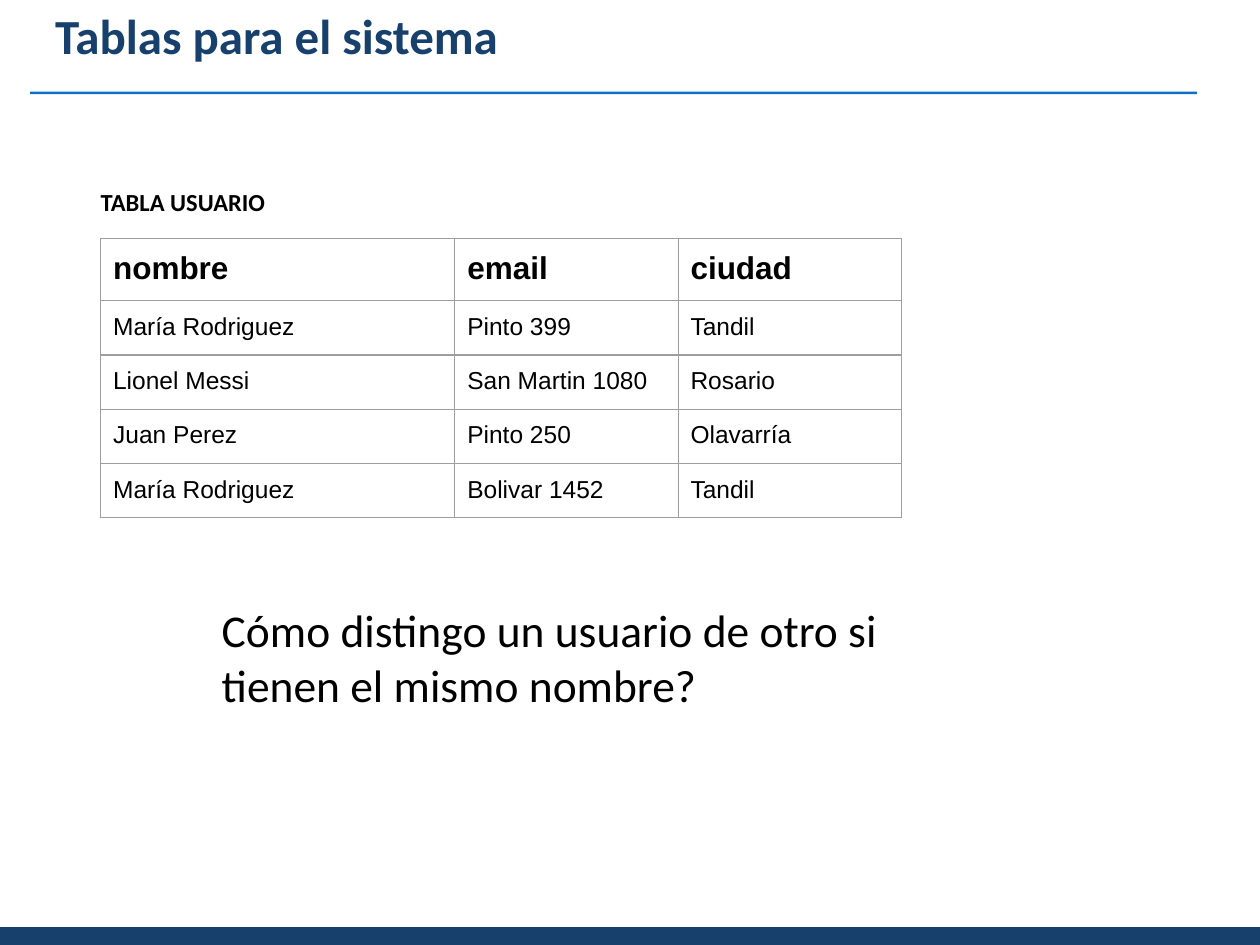
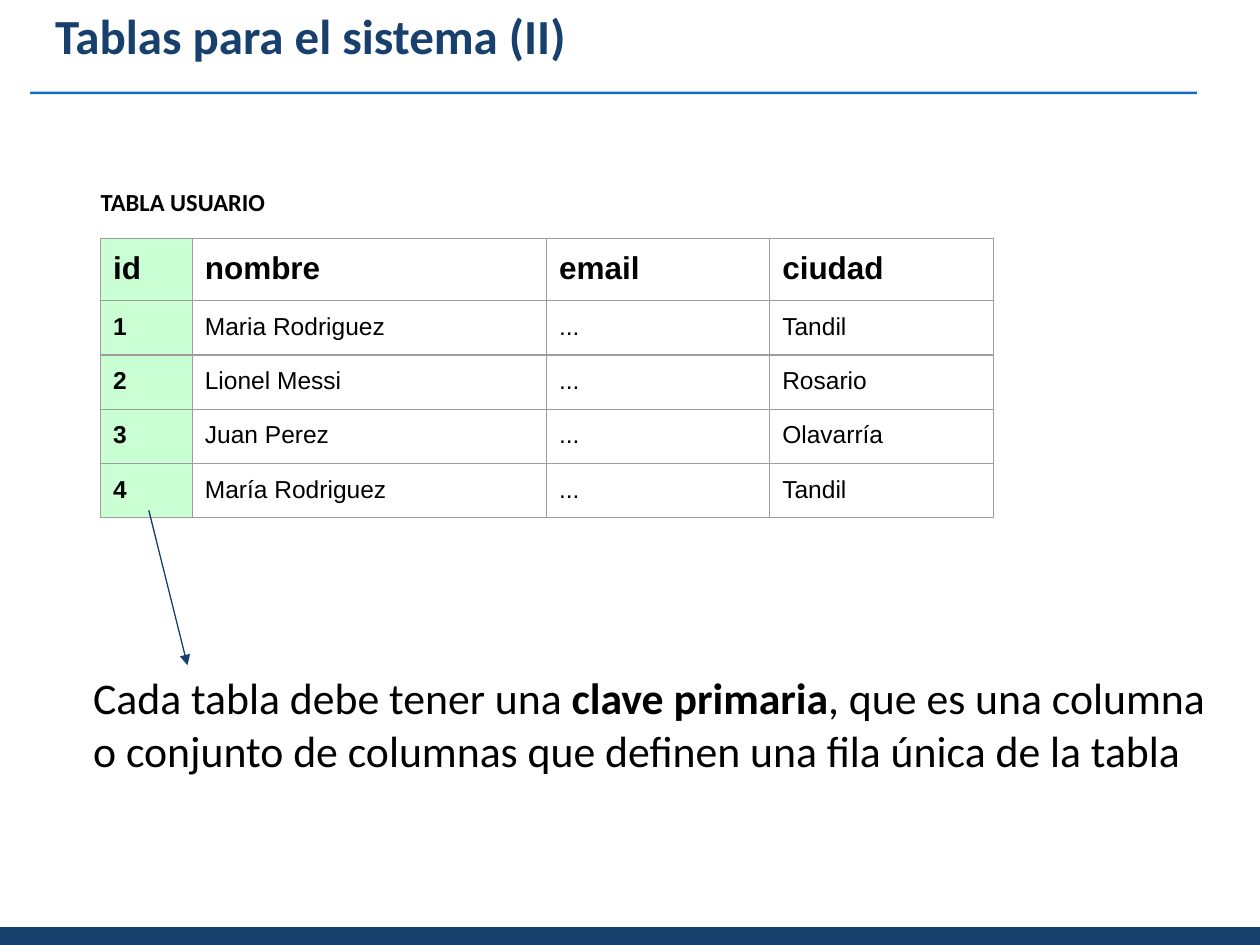
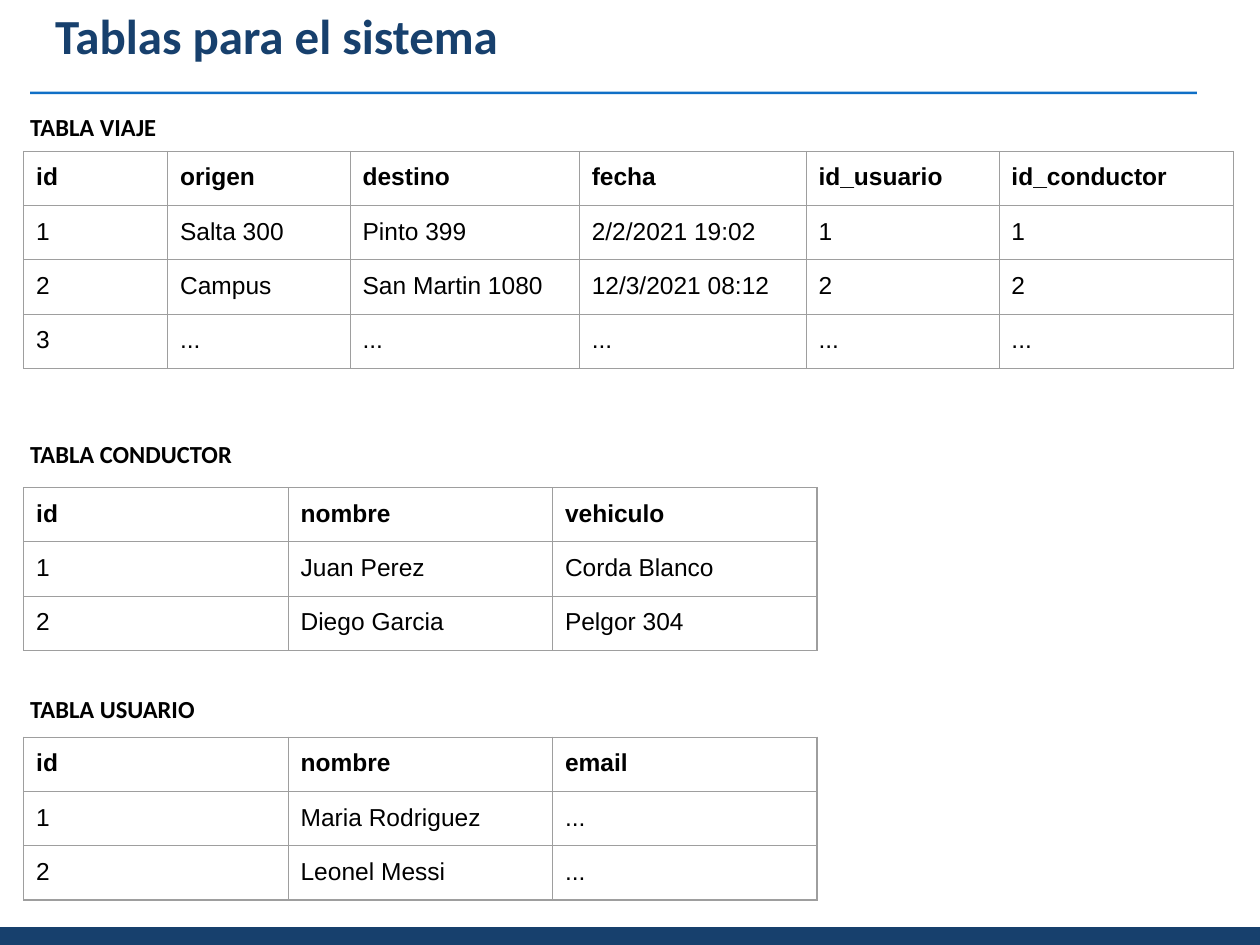
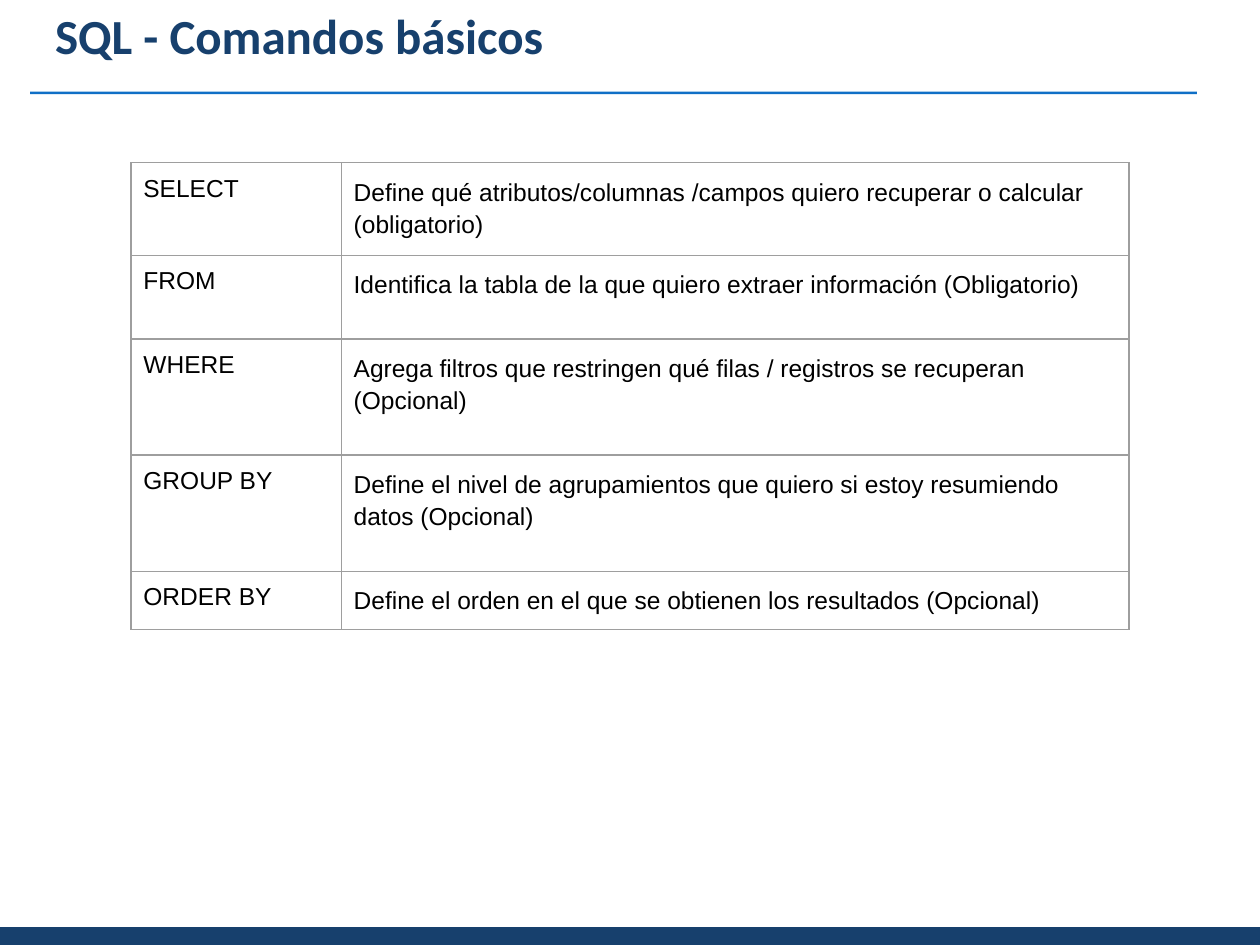
from pptx import Presentation
from pptx.dml.color import RGBColor
from pptx.enum.shapes import MSO_CONNECTOR, MSO_SHAPE
from pptx.enum.text import MSO_ANCHOR
from pptx.oxml.ns import qn
from pptx.util import Cm, Pt
from lxml.etree import SubElement

NAVY = RGBColor(0x17, 0x40, 0x6D)
BLUE = RGBColor(0x0F, 0x6F, 0xC6)
GREEN = RGBColor(0x67, 0xFF, 0x80)
GRAY = RGBColor(0x9E, 0x9E, 0x9E)
BLACK = RGBColor(0, 0, 0)
INSET = Cm(0.25)
USERS = (7.14, 4.5, 4.5)
THIRDS = (5.33,) * 3


def put_text(frame, text, size=14, font="Calibri", color=BLACK, bold=False, space=None):
    para = frame.paragraphs[0]
    para.line_spacing = space
    for i, part in enumerate(text.split("**")):
        run = para.add_run()
        run.text = part
        run.font.size = Pt(size)
        run.font.name = font
        run.font.color.rgb = color
        run.font.bold = bold or i % 2 == 1


def add_text(slide, text, left, top, width, height, **style):
    frame = slide.shapes.add_textbox(Cm(left), Cm(top), Cm(width), Cm(height)).text_frame
    frame.word_wrap = True
    frame.vertical_anchor = MSO_ANCHOR.TOP
    frame.margin_left = frame.margin_right = INSET
    frame.margin_top = frame.margin_bottom = INSET
    put_text(frame, text, **style)


def add_label(slide, text, left, top):
    add_text(slide, text, left, top, 15.52, 1.12, bold=True)


def add_bar(slide, color, left, top, width, height):
    bar = slide.shapes.add_shape(MSO_SHAPE.RECTANGLE, Cm(left), Cm(top), Cm(width), Cm(height))
    bar.shadow.inherit = False
    bar.fill.solid()
    bar.fill.fore_color.rgb = color
    bar.line.fill.background()


def add_slide(deck, title):
    slide = deck.slides.add_slide(deck.slide_layouts[6])
    add_bar(slide, NAVY, 0, 18.69, 25.4, 0.36)
    add_bar(slide, BLUE, 0.61, 1.85, 23.52, 0.05)
    add_text(slide, title, 0.86, -0.13, 23.67, 2.11, size=28, color=NAVY, bold=True)
    return slide


def add_edges(cell):
    props = cell._tc.get_or_add_tcPr()
    for side in ("a:lnL", "a:lnR", "a:lnT", "a:lnB"):
        line = SubElement(props, qn(side), w=str(Pt(0.75)))
        fill = SubElement(line, qn("a:solidFill"))
        SubElement(fill, qn("a:srgbClr"), val=str(GRAY))


def tint(cell):
    cell.fill.solid()
    cell.fill.fore_color.rgb = GREEN
    color = cell._tc.tcPr.find(qn("a:solidFill")).find(qn("a:srgbClr"))
    SubElement(color, qn("a:alpha"), val="35000")


def add_grid(slide, data, left, top, widths, heights, head=14, header=True, key=False, space=None):
    table = slide.shapes.add_table(len(data), len(widths), Cm(left), Cm(top),
                                   Cm(sum(widths)), Cm(sum(heights))).table
    table.first_row = table.horz_banding = False
    for col, width in zip(table.columns, widths):
        col.width = Cm(width)
    for r, (row, height) in enumerate(zip(data, heights)):
        table.rows[r].height = Cm(height)
        for c, text in enumerate(row):
            cell = table.cell(r, c)
            is_head = header and r == 0
            is_key = key and c == 0
            cell.margin_left = cell.margin_right = INSET
            cell.margin_top = cell.margin_bottom = INSET
            add_edges(cell)
            if is_key:
                tint(cell)
            else:
                cell.fill.background()
            put_text(cell.text_frame, text, size=head if is_head else 14, font="Arial",
                     bold=is_head or is_key, space=space if c else None)


def add_arrow(slide, x1, y1, x2, y2):
    arrow = slide.shapes.add_connector(MSO_CONNECTOR.STRAIGHT, Cm(x1), Cm(y1), Cm(x2), Cm(y2))
    arrow.line.color.rgb = NAVY
    arrow.line.width = Pt(0.75)
    SubElement(arrow.line._get_or_add_ln(), qn("a:tailEnd"), type="triangle")
    SubElement(arrow._element.spPr, qn("a:effectLst"))


def add_users(slide, data, widths, key=False):
    add_grid(slide, data, 2.03, 4.8, widths, [1.23] + [1.06] * 4, head=18, key=key)


def show_users(deck):
    slide = add_slide(deck, "Tablas para el sistema")
    add_users(slide, [
        ("nombre", "email", "ciudad"),
        ("María Rodriguez", "Pinto 399", "Tandil"),
        ("Lionel Messi", "San Martin 1080", "Rosario"),
        ("Juan Perez", "Pinto 250", "Olavarría"),
        ("María Rodriguez", "Bolivar 1452", "Tandil"),
    ], USERS)
    add_text(slide, "Cómo distingo un usuario de otro si tienen el mismo nombre?",
             4.22, 11.89, 16.1, 2.74, size=26)
    add_label(slide, "TABLA USUARIO", 1.78, 3.53)


def show_key(deck):
    slide = add_slide(deck, "Tablas para el sistema (II)")
    add_users(slide, [
        ("id", "nombre", "email", "ciudad"),
        ("1", "Maria Rodriguez", "...", "Tandil"),
        ("2", "Lionel Messi", "...", "Rosario"),
        ("3", "Juan Perez", "...", "Olavarría"),
        ("4", "María Rodriguez", "...", "Tandil"),
    ], (1.85,) + USERS, key=True)
    add_text(slide, "Cada tabla debe tener una **clave primaria**, que es una columna "
             "o conjunto de columnas que definen una fila única de la tabla",
             1.63, 13.28, 23.06, 2.64, size=25)
    add_label(slide, "TABLA USUARIO", 1.78, 3.53)
    add_arrow(slide, 3, 10.29, 3.78, 13.41)


def show_trips(deck):
    slide = add_slide(deck, "Tablas para el sistema")
    trips = [
        ("id", "origen", "destino", "fecha", "id_usuario", "id_conductor"),
        ("1", "Salta 300", "Pinto 399", "2/2/2021 19:02", "1", "1"),
        ("2", "Campus", "San Martin 1080", "12/3/2021 08:12", "2", "2"),
        ("3",) + ("...",) * 5,
    ]
    drivers = [
        ("id", "nombre", "vehiculo"),
        ("1", "Juan Perez", "Corda Blanco"),
        ("2", "Diego Garcia", "Pelgor 304"),
    ]
    users = [
        ("id", "nombre", "email"),
        ("1", "Maria Rodriguez", "..."),
        ("2", "Leonel Messi", "..."),
    ]
    for name, data, y, top, widths, height in (
        ("TABLA VIAJE", trips, 2.01, 3.05, (2.9, 3.68, 4.62, 4.57, 3.89, 4.72), 1.08),
        ("TABLA CONDUCTOR", drivers, 8.61, 9.83, THIRDS, 1.06),
        ("TABLA USUARIO", users, 13.74, 14.86, THIRDS, 1.06),
    ):
        add_grid(slide, data, 0.48, top, widths, [height] * len(data))
        add_label(slide, name, 0.36, y)


def show_sql(deck):
    slide = add_slide(deck, "SQL - Comandos básicos")
    add_grid(slide, [
        ("SELECT", "Define qué atributos/columnas /campos quiero recuperar o calcular (obligatorio)"),
        ("FROM", "Identifica la tabla de la que quiero extraer información (Obligatorio)"),
        ("WHERE", "Agrega filtros que restringen qué filas / registros se recuperan (Opcional)"),
        ("GROUP BY", "Define el nivel de agrupamientos que quiero si estoy resumiendo datos (Opcional)"),
        ("ORDER BY", "Define el orden en el que se obtienen los resultados (Opcional)"),
    ], 2.64, 3.28, (4.24, 15.88), (1.79, 1.69, 2.34, 2.34, 1.15), header=False, space=1.15)


def main():
    deck = Presentation()
    deck.slide_width = Cm(25.4)
    deck.slide_height = Cm(19.05)
    show_users(deck)
    show_key(deck)
    show_trips(deck)
    show_sql(deck)
    deck.save("out.pptx")


if __name__ == "__main__":
    main()
